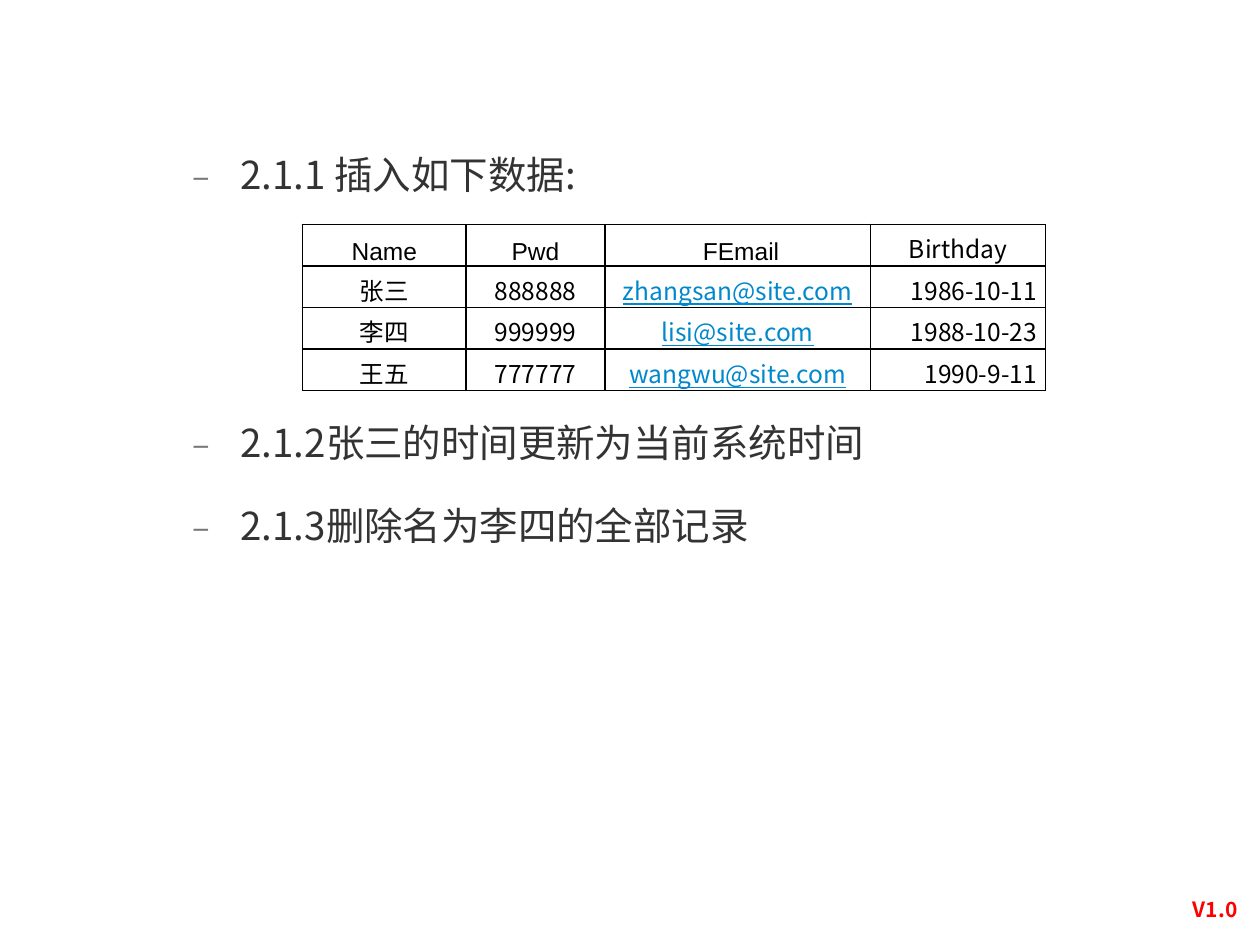
from dataclasses import dataclass

from lxml.etree import SubElement
from pptx import Presentation
from pptx.dml.color import RGBColor
from pptx.enum.text import MSO_ANCHOR as Anchor, MSO_AUTO_SIZE as AutoSize, PP_ALIGN as Align
from pptx.oxml.ns import qn
from pptx.util import Inches, Pt


@dataclass(frozen=True)
class Theme:
    sans: str = "Noto Sans CJK SC"
    arial: str = "Arial"
    serif: str = "Times New Roman"
    black: str = "000000"
    body: str = "333333"
    bullet: str = "777777"
    link: str = "0088CC"
    version: str = "FF0000"
    task_size: int = 22
    cell_size: int = 14
    version_size: int = 12


@dataclass(frozen=True)
class Task:
    text: str
    space_before: float


@dataclass(frozen=True)
class CellStyle:
    font: str
    color: str = Theme.black
    align: Align = Align.CENTER
    underline: bool = False


THEME = Theme()

TASKS = [
    Task("2.1.1 插入如下数据:", 0),
    Task("2.1.2张三的时间更新为当前系统时间", 126.5),
    Task("2.1.3删除名为李四的全部记录", 21.3),
]

HEADINGS = ["Name", "Pwd", " FEmail", "Birthday"]
USERS = [
    ("张三", "888888", "zhangsan@site.com", "1986-10-11"),
    ("李四", "999999", "lisi@site.com", "1988-10-23"),
    ("王五", "777777", "wangwu@site.com", "1990-9-11"),
]
HEADING_STYLES = [CellStyle(THEME.arial)] * 3 + [CellStyle(THEME.sans)]
USER_STYLES = [
    CellStyle(THEME.serif),
    CellStyle(THEME.sans),
    CellStyle(THEME.sans, THEME.link, underline=True),
    CellStyle(THEME.sans, align=Align.RIGHT),
]
COLUMN_WIDTHS = [1.3, 1.1, 2.11, 1.39]
ROW_HEIGHT = 0.33


def set_font(font, name: str, size: int, color: str) -> None:
    font.name = name
    font.size = Pt(size)
    font.color.rgb = RGBColor.from_string(color)
    SubElement(font._element, qn("a:ea"), typeface=THEME.sans)


def add_dash(paragraph) -> None:
    properties = paragraph._p.get_or_add_pPr()
    properties.set("marL", str(Inches(1.31)))
    properties.set("indent", str(Inches(-0.38)))
    bullet_color = SubElement(properties, qn("a:buClr"))
    SubElement(bullet_color, qn("a:srgbClr"), val=THEME.bullet)
    SubElement(properties, qn("a:buSzPct"), val="85000")
    SubElement(properties, qn("a:buFont"), typeface=THEME.sans)
    SubElement(properties, qn("a:buChar"), char="–")


def fill_tasks(placeholder, tasks: list[Task]) -> None:
    placeholder.left, placeholder.top = Inches(0.5), Inches(1.15)
    placeholder.width, placeholder.height = Inches(8.91), Inches(5.43)
    frame = placeholder.text_frame
    frame.auto_size = AutoSize.NONE
    frame.vertical_anchor = Anchor.TOP
    for index, task in enumerate(tasks):
        paragraph = frame.add_paragraph() if index else frame.paragraphs[0]
        paragraph.text = task.text
        paragraph.level = 3
        add_dash(paragraph)
        paragraph.space_before = Pt(task.space_before)
        set_font(paragraph.font, THEME.sans, THEME.task_size, THEME.body)


def add_borders(cell) -> None:
    properties = cell._tc.get_or_add_tcPr()
    for side in ("lnL", "lnR", "lnT", "lnB"):
        line = SubElement(properties, qn(f"a:{side}"), w=str(Pt(1)))
        SubElement(SubElement(line, qn("a:solidFill")), qn("a:srgbClr"), val=THEME.black)


def fill_cell(cell, text: str, style: CellStyle) -> None:
    add_borders(cell)
    cell.fill.background()
    cell.vertical_anchor = Anchor.BOTTOM
    cell.margin_left = cell.margin_right = Inches(0.07)
    cell.margin_top = cell.margin_bottom = 0
    paragraph = cell.text_frame.paragraphs[0]
    paragraph.text = text
    paragraph.alignment = style.align
    set_font(paragraph.font, style.font, THEME.cell_size, style.color)
    paragraph.font.underline = style.underline


def add_users(slide) -> None:
    rows = [HEADINGS, *USERS]
    users = slide.shapes.add_table(
        len(rows), len(HEADINGS), Inches(2.4), Inches(1.78),
        Inches(sum(COLUMN_WIDTHS)), Inches(ROW_HEIGHT * len(rows)),
    ).table
    users.first_row = users.horz_banding = False
    for column, width in zip(users.columns, COLUMN_WIDTHS):
        column.width = Inches(width)
    for row_index, values in enumerate(rows):
        users.rows[row_index].height = Inches(ROW_HEIGHT)
        styles = USER_STYLES if row_index else HEADING_STYLES
        for column_index, (value, style) in enumerate(zip(values, styles)):
            fill_cell(users.cell(row_index, column_index), value, style)


def add_version(slide) -> None:
    version = slide.shapes.add_textbox(Inches(9.25), Inches(7.07), Inches(0.79), Inches(0.3))
    version.text_frame.word_wrap = True
    paragraph = version.text_frame.paragraphs[0]
    paragraph.text = "V1.0"
    paragraph.alignment = Align.CENTER
    set_font(paragraph.font, THEME.sans, THEME.version_size, THEME.version)
    paragraph.font.bold = True


def main() -> None:
    presentation = Presentation()
    presentation.slide_width, presentation.slide_height = Inches(10), Inches(7.5)
    slide = presentation.slides.add_slide(presentation.slide_layouts[1])
    empty_title = slide.shapes.title._element
    empty_title.getparent().remove(empty_title)
    add_version(slide)
    fill_tasks(slide.placeholders[1], TASKS)
    add_users(slide)
    presentation.save("out.pptx")


if __name__ == "__main__":
    main()
